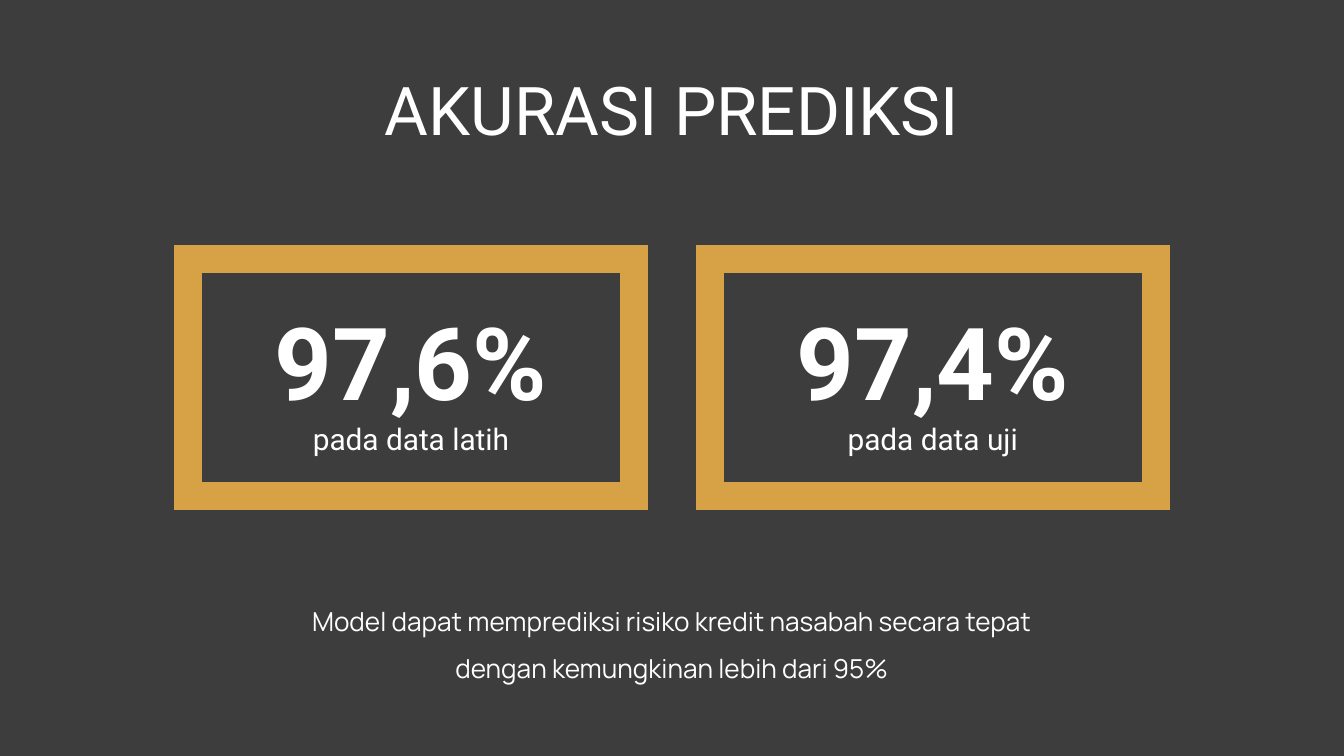
"""Build a slide that shows prediction accuracy on training and test data."""
from lxml import etree
from pptx import Presentation, util as u
from pptx.dml import color
from pptx.enum import shapes, text
from pptx.oxml import ns

DARK, GOLD, WHITE = "3D3D3D", "D6A245", "FFFFFF"


def rgb(code):
    return color.RGBColor.from_string(code)


def write(shape, lines, face, space=1, anchor=text.MSO_ANCHOR.MIDDLE):
    frame = shape.text_frame
    inset = u.Cm(0.25)
    form = {"word_wrap": True, "auto_size": text.MSO_AUTO_SIZE.NONE,
            "vertical_anchor": anchor, "margin_left": inset, "margin_right": inset,
            "margin_top": inset, "margin_bottom": inset}
    for key, val in form.items():
        setattr(frame, key, val)
    for i, parts in enumerate(lines):
        para = frame.add_paragraph() if i else frame.paragraphs[0]
        para.alignment = text.PP_ALIGN.CENTER
        para.line_spacing = space
        for j, (words, size, bold) in enumerate(parts):
            if j:
                para.add_line_break()
            run = para.add_run()
            run.text = words
            for key, val in {"name": face, "size": u.Pt(size), "bold": bold}.items():
                setattr(run.font, key, val)
            run.font.color.rgb = rgb(WHITE)


deck = Presentation()
deck.slide_width, deck.slide_height = u.Cm(25.4), u.Cm(14.29)
slide = deck.slides.add_slide(deck.slide_layouts[5])
slide.background.fill.solid()
slide.background.fill.fore_color.rgb = rgb(DARK)

title = slide.shapes.title
place = {"left": 2, "top": 1.25, "width": 21.4, "height": 1.6}
for key, val in place.items():
    setattr(title, key, u.Cm(val))
write(title, [[("AKURASI PREDIKSI", 36, False)]], "Roboto")

wide, gap = 8.43, 1.43
left = (25.4 - 2 * wide - gap) / 2
cards = [("97,6%", "pada data latih"), ("97,4%", "pada data uji")]
for i, (rate, label) in enumerate(cards):
    card = slide.shapes.add_shape(
        shapes.MSO_SHAPE.RECTANGLE, u.Cm(left + i * (wide + gap)), u.Cm(4.9),
        u.Cm(wide), u.Cm(4.48))
    card.shadow.inherit = False
    card.fill.background()
    card.line.color.rgb = rgb(GOLD)
    card.line.width = u.Pt(15)
    edge = card.element.spPr.find(ns.qn("a:ln"))
    etree.SubElement(edge, ns.qn("a:miter"), lim="800000")
    write(card, [[(rate, 54, True), (label, 16, False)]], "Roboto")

note = slide.shapes.add_textbox(u.Cm(2), u.Cm(10.9), u.Cm(21.4), u.Cm(2.5))
lines = ["Model dapat memprediksi risiko kredit nasabah secara tepat",
         "dengan kemungkinan lebih dari 95%"]
write(note, [[(line, 14, False)] for line in lines], "Manrope", 1.5,
      text.MSO_ANCHOR.TOP)

deck.save("out.pptx")
